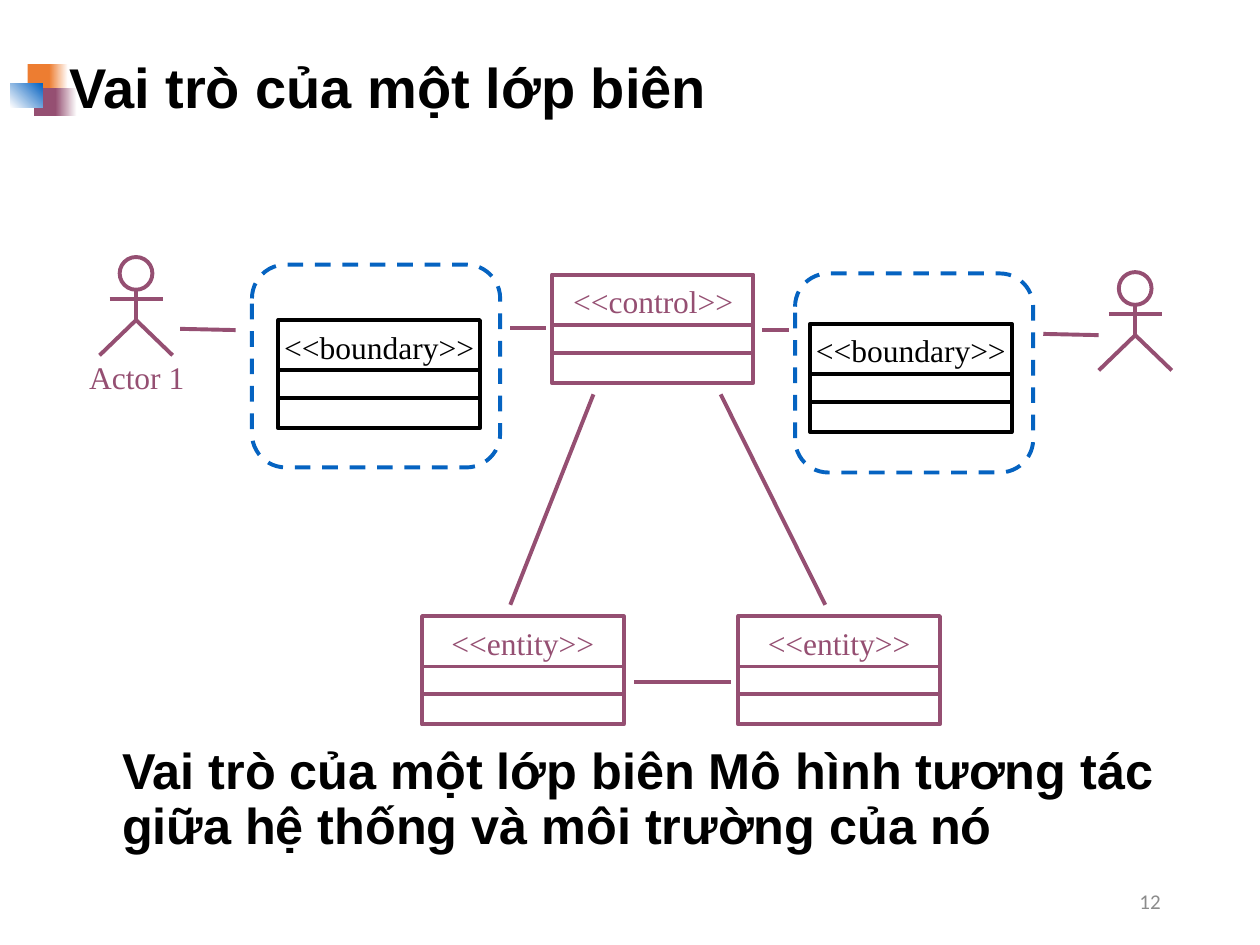
from lxml.etree import SubElement
from pptx import Presentation
from pptx.dml.color import RGBColor
from pptx.enum.dml import MSO_LINE
from pptx.enum.shapes import MSO_CONNECTOR, MSO_SHAPE
from pptx.enum.text import MSO_ANCHOR, MSO_AUTO_SIZE, PP_ALIGN
from pptx.oxml.ns import qn
from pptx.util import Pt

PX = 9144
PLUM = RGBColor(0x95, 0x4F, 0x72)
ORANGE = RGBColor(0xED, 0x7D, 0x31)
BLUE = RGBColor(0x05, 0x63, 0xC1)
BLACK = RGBColor(0, 0, 0)
WHITE = RGBColor(0xFF, 0xFF, 0xFF)
GRAY = RGBColor(0x8C, 0x8C, 0x8C)


class Diagram:
    heading_font = "Arial"
    label_font = "Times New Roman"
    number_font = "Calibri"
    stroke = Pt(2.25)
    class_width, class_height = 160, 86
    name_line, attribute_line = 40, 62

    def __init__(self, slide):
        self.slide = slide

    def shape(self, kind, left, top, width, height):
        shape = self.slide.shapes.add_shape(
            kind, left * PX, top * PX, width * PX, height * PX)
        shape.shadow.inherit = False
        return shape

    def block(self, left, top, width, height, color):
        block = self.shape(MSO_SHAPE.RECTANGLE, left, top, width, height)
        block.fill.solid()
        block.fill.fore_color.rgb = color
        block.line.fill.background()

    def fade(self, left, top, width, height, start, end, angle=0):
        fade = self.shape(MSO_SHAPE.RECTANGLE, left, top, width, height)
        fade.fill.gradient()
        fade.fill.gradient_angle = angle
        for stop, color in zip(fade.fill.gradient_stops, (start, end)):
            stop.color.rgb = color
        fade.line.fill.background()

    def outline(self, shape, color):
        shape.fill.background()
        shape.line.color.rgb = color
        shape.line.width = self.stroke

    def line(self, x1, y1, x2, y2, color=PLUM):
        line = self.slide.shapes.add_connector(
            MSO_CONNECTOR.STRAIGHT, x1 * PX, y1 * PX, x2 * PX, y2 * PX)
        line.line.color.rgb = color
        line.line.width = self.stroke
        SubElement(line._element.spPr, qn("a:effectLst"))

    def text(self, left, top, width, height, words, font, size, color,
             bold=False, align=PP_ALIGN.LEFT, spacing=None):
        box = self.slide.shapes.add_textbox(
            left * PX, top * PX, width * PX, height * PX)
        frame = box.text_frame
        frame.word_wrap = True
        frame.vertical_anchor = MSO_ANCHOR.MIDDLE
        paragraph = frame.paragraphs[0]
        paragraph.alignment = align
        paragraph.line_spacing = spacing
        run = paragraph.add_run()
        run.text = words
        run.font.name = font
        run.font.size = Pt(size)
        run.font.bold = bold
        run.font.color.rgb = color
        return frame

    def heading(self, left, top, width, height, words, size):
        self.text(left, top, width, height, words, self.heading_font, size,
                  BLACK, bold=True, spacing=0.9)

    def label(self, center, top, width, words, color):
        frame = self.text(center - width // 2, top, width, 30, words,
                          self.label_font, 18, color, align=PP_ALIGN.CENTER)
        frame.word_wrap = False
        frame.auto_size = MSO_AUTO_SIZE.SHAPE_TO_FIT_TEXT
        frame.vertical_anchor = MSO_ANCHOR.TOP
        frame.margin_left = frame.margin_right = 0
        frame.margin_top = frame.margin_bottom = 0

    def actor(self, center, top):
        head = self.shape(MSO_SHAPE.OVAL, center - 13, top, 26, 26)
        self.outline(head, PLUM)
        hip, foot = top + 50, top + 78
        self.line(center, top + 26, center, hip)
        self.line(center - 21, top + 33, center + 21, top + 33)
        legs = self.slide.shapes.build_freeform(center - 29, foot, scale=PX)
        legs.add_line_segments([(center, hip), (center + 29, foot)], close=False)
        legs = legs.convert_to_shape()
        legs.shadow.inherit = False
        self.outline(legs, PLUM)

    def class_box(self, left, top, stereotype, label_width, color=PLUM):
        box = self.shape(MSO_SHAPE.RECTANGLE, left, top,
                         self.class_width, self.class_height)
        self.outline(box, color)
        for offset in (self.name_line, self.attribute_line):
            self.line(left, top + offset, left + self.class_width, top + offset, color)
        self.label(left + self.class_width // 2, top + 6, label_width,
                   f"<<{stereotype}>>", color)

    def highlight(self, left, top, width, height):
        frame = self.shape(MSO_SHAPE.ROUNDED_RECTANGLE, left, top, width, height)
        frame.adjustments[0] = 0.167
        self.outline(frame, BLUE)
        frame.line.dash_style = MSO_LINE.DASH

    def page_number(self, number):
        self.text(706, 695, 225, 40, number, self.number_font, 12, GRAY,
                  align=PP_ALIGN.RIGHT)


def main():
    deck = Presentation()
    deck.slide_width, deck.slide_height = 1000 * PX, 750 * PX
    diagram = Diagram(deck.slides.add_slide(deck.slide_layouts[6]))

    diagram.block(22, 51, 20, 22, ORANGE)
    diagram.fade(39, 51, 15, 22, ORANGE, WHITE)
    diagram.block(27, 70, 19, 22, PLUM)
    diagram.fade(44, 70, 17, 22, PLUM, WHITE)
    diagram.fade(8, 66, 26, 19, WHITE, BLUE, angle=45)

    diagram.heading(45, 18, 900, 108, "Vai trò của một lớp biên", 32)
    diagram.heading(87, 595, 862, 81,
                    "Vai trò của một lớp biên Mô hình tương tác "
                    "giữa hệ thống và môi trường của nó", 28.8)
    diagram.page_number("12")

    diagram.actor(108, 204)
    diagram.label(108, 284, 79, "Actor 1", PLUM)
    diagram.actor(901, 216)

    for association in (
        (143, 261, 187, 262),
        (405, 260, 433, 260),
        (626, 262, 605, 262),
        (828, 265, 872, 266),
        (405, 480, 471, 313),
        (572, 313, 655, 480),
        (580, 541, 503, 541),
    ):
        diagram.line(*association)

    diagram.highlight(200, 210, 197, 161)
    diagram.highlight(631, 217, 189, 158)

    diagram.class_box(221, 254, "boundary", 162, BLACK)
    diagram.class_box(643, 257, "boundary", 162, BLACK)
    diagram.class_box(438, 218, "control", 133)
    for left in (335, 586):
        diagram.class_box(left, 489, "entity", 118)

    deck.save("out.pptx")


if __name__ == "__main__":
    main()
